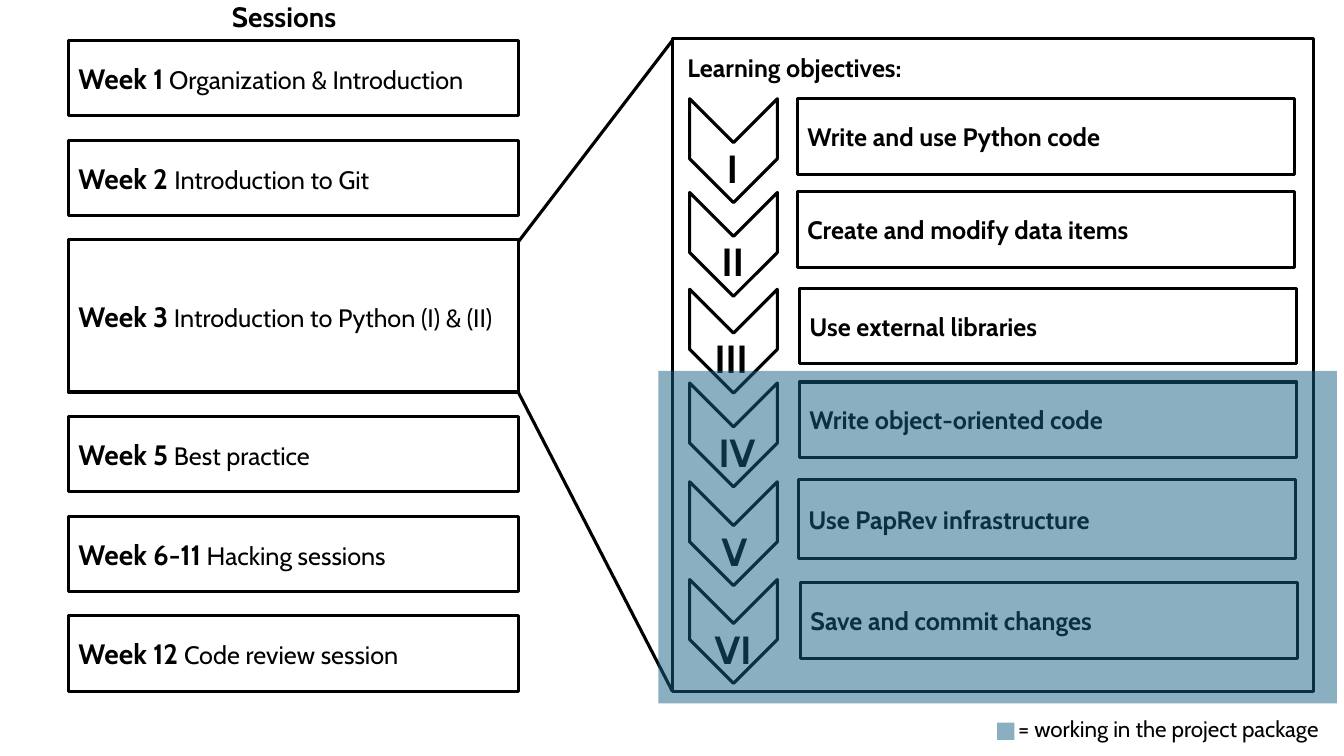
from lxml import etree
from pptx import Presentation
from pptx.dml.color import RGBColor
from pptx.enum.shapes import MSO_CONNECTOR as Connector, MSO_SHAPE as Shape
from pptx.enum.text import MSO_ANCHOR as Anchor, MSO_AUTO_SIZE as AutoSize, PP_ALIGN as Align
from pptx.oxml.ns import qn
from pptx.util import Inches, Pt

BLACK, PROJECT_BLUE = "000000", "156082"


def add_panel(kind, left, top, width, height, tint=None):
    """Outlined shape, or a half-transparent one without outline if tinted."""
    panel = slide.shapes.add_shape(kind, Inches(left), Inches(top), Inches(width), Inches(height))
    panel.shadow.inherit = False
    if tint:
        panel.fill.solid()
        panel.fill.fore_color.rgb = RGBColor.from_string(tint)
        color = panel.fill._xPr.find(qn("a:solidFill"))[0]
        etree.SubElement(color, qn("a:alpha")).set("val", "50000")
        panel.line.fill.background()
    else:
        panel.fill.background()
        panel.line.color.rgb = RGBColor.from_string(BLACK)
        panel.line.width = Pt(2.25)
    return panel


def write(target, runs, anchor=Anchor.MIDDLE):
    """Fill a shape with left-aligned runs of (text, size, bold)."""
    frame = target.text_frame
    frame.word_wrap = True
    frame.auto_size = AutoSize.NONE
    frame.vertical_anchor = anchor
    paragraph = frame.paragraphs[0]
    paragraph.alignment = Align.LEFT
    for text, size, bold in runs:
        run = paragraph.add_run()
        run.text = text
        run.font.name = "Cabin"
        run.font.size = Pt(size)
        run.font.bold = bold
        run.font.color.rgb = RGBColor.from_string(BLACK)


prs = Presentation()
prs.slide_width, prs.slide_height = Inches(13.33), Inches(7.5)
slide = prs.slides.add_slide(prs.slide_layouts[5])

# Heading of the session column
heading = slide.shapes.title
heading.left, heading.top = Inches(2.2), Inches(-0.06)
heading.width, heading.height = Inches(1.43), Inches(0.44)
write(heading, [("Sessions", 20, True)], Anchor.TOP)

# Session column: equal gaps, week 3 is twice as tall
sessions = [
    ("Week 1", " Organization & Introduction", 0.75),
    ("Week 2 ", "Introduction to Git", 0.75),
    ("Week 3", " Introduction to Python (I) & (II)", 1.51),
    ("Week 5", " Best practice", 0.75),
    ("Week 6-11", " Hacking sessions", 0.75),
    ("Week 12", " Code review session", 0.75),
]
session_top = 0.4
for week, topic, height in sessions:
    session = add_panel(Shape.RECTANGLE, 0.68, session_top, 4.46, height)
    write(session, [(week, 20, True), (topic, 18, False)])
    session_top += height + 0.24

# Lines that open week 3 into the objectives
for start_y, end_y in [(2.4, 0.4), (3.89, 6.86)]:
    zoom_line = slide.shapes.add_connector(
        Connector.STRAIGHT, Inches(5.14), Inches(start_y), Inches(6.67), Inches(end_y))
    zoom_line.line.color.rgb = RGBColor.from_string(BLACK)
    zoom_line.line.width = Pt(2.25)
    etree.SubElement(zoom_line._element.spPr, qn("a:effectLst"))

# Objectives frame and its heading
add_panel(Shape.RECTANGLE, 6.67, 0.38, 6.36, 6.48)
objectives_heading = slide.shapes.add_textbox(Inches(6.72), Inches(0.47), Inches(3.41), Inches(0.4))
write(objectives_heading, [("Learning objectives:", 18, True)], Anchor.TOP)

# Objectives: numeral, its left and width, text, box left, top and height
objectives = [
    ("I", 7.11, 0.49, "Write and use Python code", 7.91, 0.98, 0.75),
    ("II", 7.06, 0.49, "Create and modify data items", 7.91, 1.9, 0.75),
    ("III", 6.99, 0.64, "Use external libraries", 7.93, 2.86, 0.75),
    ("IV", 7.03, 0.62, "Write object-oriented code", 7.93, 3.79, 0.75),
    ("V", 7.06, 0.49, "Use PapRev infrastructure", 7.92, 4.76, 0.78),
    ("VI", 6.99, 0.61, "Save and commit changes", 7.94, 5.78, 0.75),
]
chevron_tops = [1.06, 1.99, 2.95, 3.88, 4.86, 5.83]
for chevron_top, objective in zip(chevron_tops, objectives):
    numeral, numeral_left, numeral_width, goal, goal_left, goal_top, goal_height = objective
    chevron = add_panel(Shape.CHEVRON, 6.76, chevron_top, 1.03, 0.87)
    chevron.rotation = 90
    goal_box = add_panel(Shape.RECTANGLE, goal_left, goal_top, 4.93, goal_height)
    write(goal_box, [(goal, 18, True)])
    numeral_box = slide.shapes.add_textbox(
        Inches(numeral_left), Inches(chevron_top + 0.32), Inches(numeral_width), Inches(0.57))
    write(numeral_box, [(numeral, 28, True)], Anchor.TOP)

# Project overlay and its legend
add_panel(Shape.RECTANGLE, 6.53, 3.68, 6.73, 3.3, PROJECT_BLUE)
add_panel(Shape.RECTANGLE, 9.89, 7.17, 0.17, 0.17, PROJECT_BLUE)
legend = slide.shapes.add_textbox(Inches(10), Inches(7.05), Inches(3.83), Inches(0.37))
write(legend, [("= working in the project package", 16, False)], Anchor.TOP)

prs.save("out.pptx")
